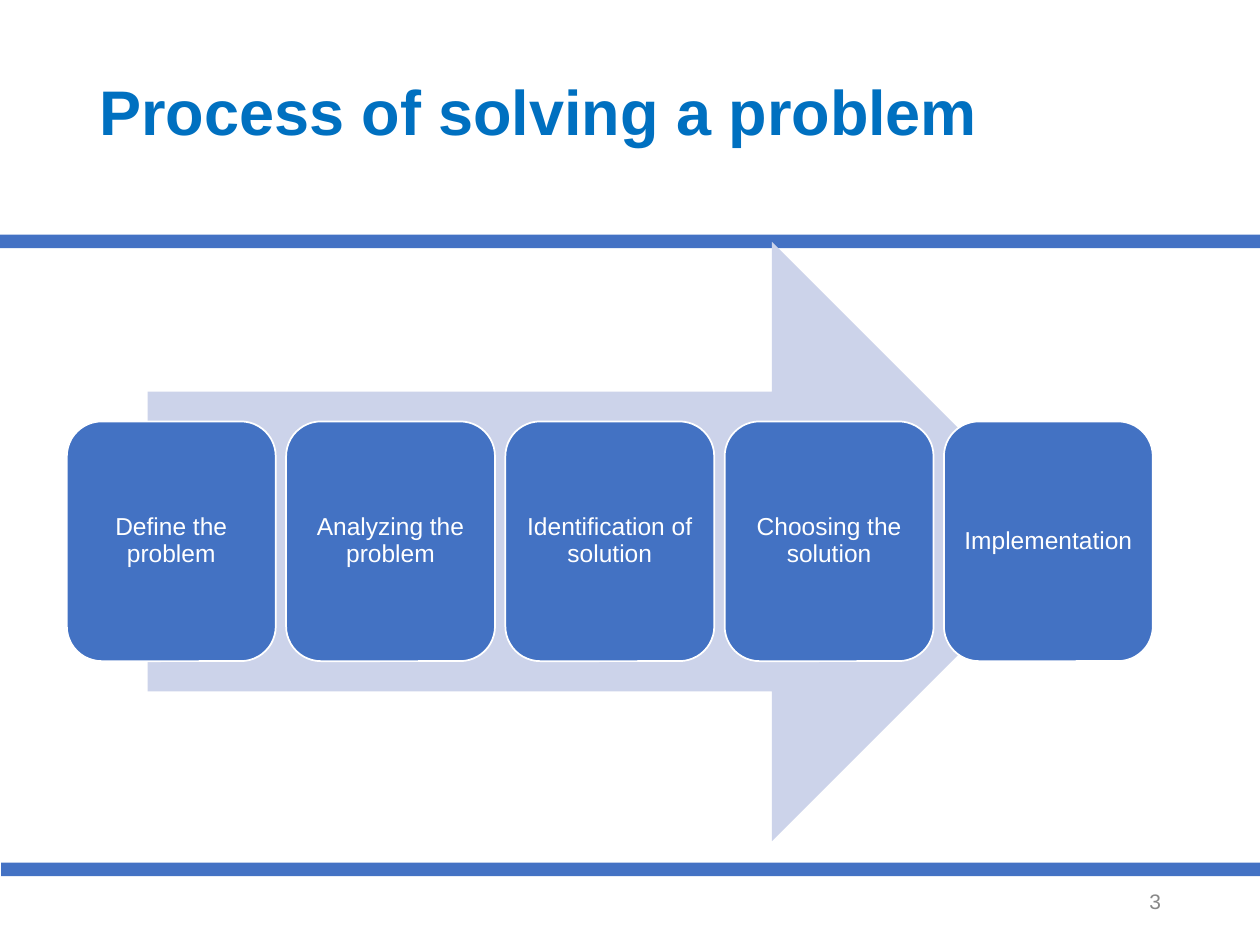
import pptx
import pptx.util
import pptx.dml.color
import pptx.enum.shapes
import pptx.enum.text

Pt = pptx.util.Pt
SHAPE = pptx.enum.shapes.MSO_SHAPE
ALIGN = pptx.enum.text.PP_ALIGN


def add_block(kind, left, top, width, height, fill):
    block = page.shapes.add_shape(kind, Pt(left), Pt(top), Pt(width), Pt(height))
    block.shadow.inherit = False
    block.fill.solid()
    block.fill.fore_color.rgb = pptx.dml.color.RGBColor.from_string(fill)
    block.line.fill.background()
    return block


def write(box, text, size, color, align, bold=False, spacing=1.0, inset=(7.2, 3.6)):
    frame = box.text_frame
    frame.word_wrap = True
    frame.auto_size = pptx.enum.text.MSO_AUTO_SIZE.NONE
    frame.vertical_anchor = pptx.enum.text.MSO_ANCHOR.MIDDLE
    frame.margin_left = frame.margin_right = Pt(inset[0])
    frame.margin_top = frame.margin_bottom = Pt(inset[1])
    para = frame.paragraphs[0]
    para.alignment = align
    para.line_spacing = spacing
    para.space_before = Pt(0)
    span = para.add_run()
    span.text = text
    span.font.name = "Arial"
    span.font.size = Pt(size)
    span.font.bold = bold
    span.font.color.rgb = pptx.dml.color.RGBColor.from_string(color)


deck = pptx.Presentation()
deck.slide_width, deck.slide_height = Pt(720), Pt(540)
page = deck.slides.add_slide(deck.slide_layouts[5])

# Title
title = page.shapes.title
title.left, title.top, title.width, title.height = Pt(49.5), Pt(14), Pt(621), Pt(104)
write(title, "Process of solving a problem", 36, "0070C0", ALIGN.LEFT, bold=True, spacing=0.9)

# Bands above and below the content
for left, top in ((0.7, 493), (0, 134.1)):
    add_block(SHAPE.RECTANGLE, left, top, 720, 7.7, "4472C4")

# Arrow behind the steps
add_block(SHAPE.RIGHT_ARROW, 84.4, 138.2, 528, 342.5, "CCD3EA")

# Process steps
steps = ["Define the problem", "Analyzing the problem", "Identification of solution",
         "Choosing the solution", "Implementation"]
for index, step in enumerate(steps):
    card = add_block(SHAPE.ROUNDED_RECTANGLE, 38.2 + index * 125.3, 240.8, 119.4, 137, "4372C3")
    card.adjustments[0] = 0.167
    card.line.color.rgb = pptx.dml.color.RGBColor.from_string("FFFFFF")
    card.line.width = Pt(1)
    write(card, step, 14, "FFFFFF", ALIGN.CENTER, spacing=0.9, inset=(4.2, 4.2))

# Page number
number = page.shapes.add_textbox(Pt(508.5), Pt(500.5), Pt(162), Pt(28.75))
write(number, "3", 12, "888888", ALIGN.RIGHT)

deck.save("out.pptx")
